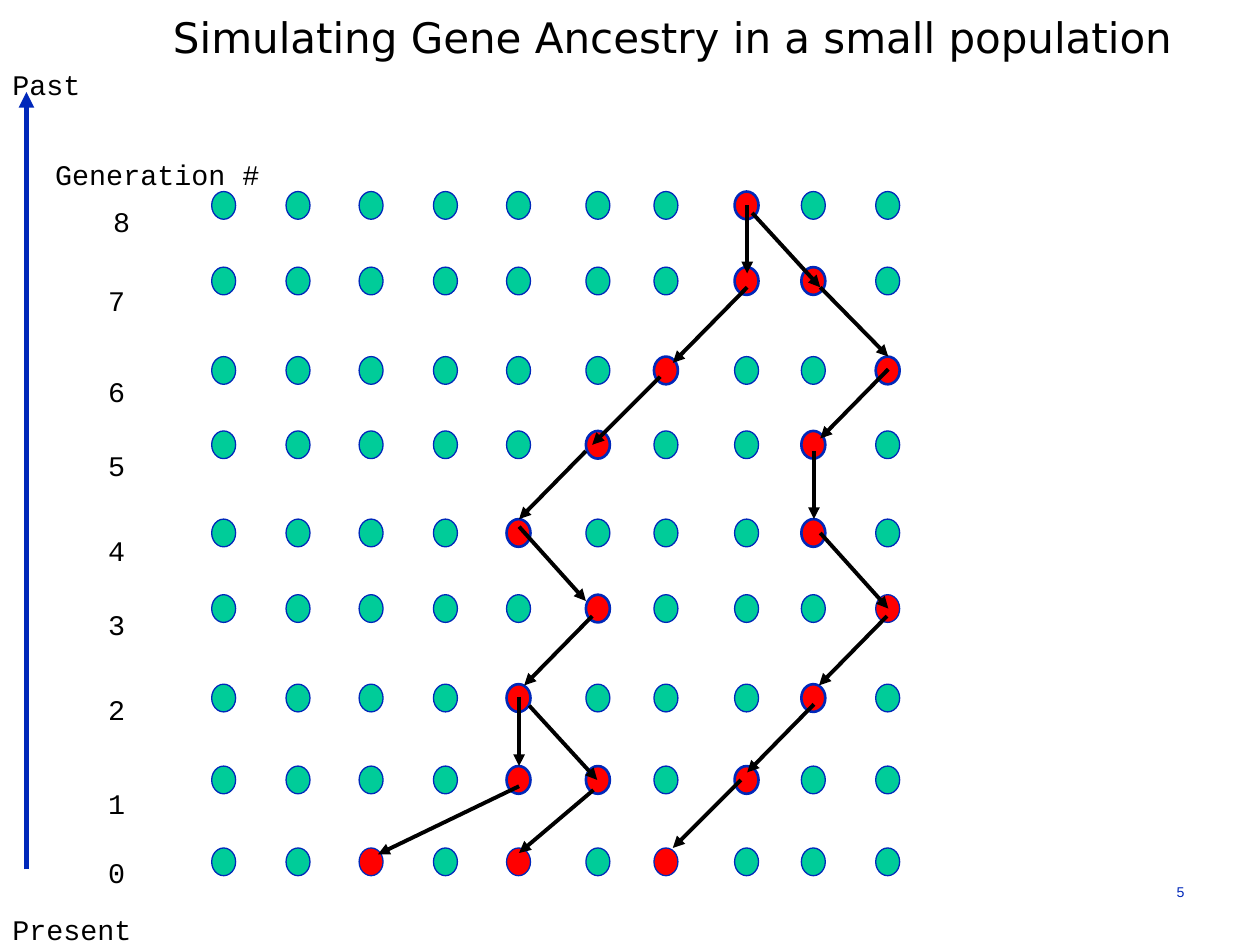
from lxml.etree import SubElement
from pptx import Presentation
from pptx.dml.color import RGBColor
from pptx.enum.shapes import MSO_CONNECTOR, MSO_SHAPE
from pptx.enum.text import MSO_ANCHOR, MSO_AUTO_SIZE, PP_ALIGN
from pptx.oxml.ns import qn
from pptx.util import Inches, Pt

BLACK, BLUE, GREEN, RED = "000000", "0028BA", "00CC99", "FF0000"

# Offsets inside the population box
COLUMNS = [0, 0.59, 1.17, 1.76, 2.34, 2.97, 3.51, 4.15, 4.68, 5.27]
# generation: (circle top, label top, ancestor columns)
GENERATIONS = {
    8: (0, -0.21, [7]),
    7: (0.6, 0.42, [7, 8]),
    6: (1.31, 1.14, [6, 9]),
    5: (1.9, 1.73, [5, 8]),
    4: (2.6, 2.4, [4, 8]),
    3: (3.2, 2.99, [5, 9]),
    2: (3.91, 3.66, [4, 8]),
    1: (4.56, 4.41, [4, 5, 7]),
    0: (5.21, 4.96, [2, 4, 6]),
}
THIN_ANCESTORS = {(0, 2), (0, 4), (0, 6), (3, 9)}
# Lines of descent: start x, start y, end x, end y
DESCENTS = [
    (4.25, 0.11, 4.25, 0.65), (4.29, 0.17, 4.83, 0.76),
    (4.25, 0.76, 3.66, 1.36), (4.83, 0.76, 5.37, 1.31),
    (3.56, 1.47, 3.02, 2.01), (5.37, 1.41, 4.83, 1.96),
    (2.97, 2.06, 2.44, 2.6), (4.78, 2.06, 4.78, 2.6),
    (2.44, 2.66, 2.97, 3.25), (4.83, 2.71, 5.37, 3.31),
    (3.02, 3.37, 2.48, 3.92), (5.36, 3.37, 4.82, 3.92),
    (2.44, 4.01, 2.44, 4.56), (2.52, 4.08, 3.06, 4.67),
    (4.78, 4.07, 4.25, 4.61), (2.44, 4.72, 1.32, 5.26),
    (3.03, 4.75, 2.44, 5.25), (4.2, 4.67, 3.66, 5.21),
]


def color(value):
    return RGBColor.from_string(value)


def write_text(frame, text, size=28, font="Courier New", fill=BLACK,
               align=PP_ALIGN.LEFT, lowered=True, space_percent=0):
    frame.word_wrap = True
    paragraph = frame.paragraphs[0]
    paragraph.alignment = align
    if space_percent:
        spacing = SubElement(paragraph._p.get_or_add_pPr(), qn("a:spcBef"))
        SubElement(spacing, qn("a:spcPct")).set("val", str(space_percent * 1000))
    run = paragraph.add_run()
    run.text = text
    run.font.size = Pt(size)
    run.font.name = font
    run.font.color.rgb = color(fill)
    if lowered:
        run._r.get_or_add_rPr().set("baseline", "-25000")


def add_label(slide, text, left, top, width, height=0.57, **text_format):
    box = slide.shapes.add_textbox(Inches(left), Inches(top), Inches(width), Inches(height))
    write_text(box.text_frame, text, **text_format)
    return box


def add_arrow(slide, start, end, fill, width):
    points = [Inches(value) for value in (*start, *end)]
    arrow = slide.shapes.add_connector(MSO_CONNECTOR.STRAIGHT, *points)
    arrow.line.color.rgb = color(fill)
    arrow.line.width = Pt(width)
    SubElement(arrow.line._get_or_add_ln(), qn("a:tailEnd")).set("type", "triangle")
    SubElement(arrow._element.spPr, qn("a:effectLst"))


def add_individual(slide, left, top, fill, outline):
    circle = slide.shapes.add_shape(
        MSO_SHAPE.OVAL, Inches(left), Inches(top), Inches(0.19), Inches(0.22))
    circle.shadow.inherit = False
    circle.fill.solid()
    circle.fill.fore_color.rgb = color(fill)
    circle.line.color.rgb = color(BLUE)
    circle.line.width = Pt(outline)


def add_title(slide, text, left, top, width, height):
    title = slide.shapes.title
    title.left, title.top = Inches(left), Inches(top)
    title.width, title.height = Inches(width), Inches(height)
    frame = title.text_frame
    frame.auto_size = MSO_AUTO_SIZE.NONE
    frame.vertical_anchor = MSO_ANCHOR.MIDDLE
    write_text(frame, text, size=24, font="DejaVu Sans",
               align=PP_ALIGN.CENTER, lowered=False)


def add_time_axis(slide, left, top):
    add_label(slide, "Present", left, top + 6.71, 1.72, space_percent=50)
    add_label(slide, "Past", left, top, 1.14, space_percent=50)
    add_arrow(slide, (left + 0.21, top + 6.68), (left + 0.21, top + 0.51), BLUE, 3)


def add_population(slide, left, top):
    add_label(slide, "Generation #", left - 1.34, top - 0.58, 2.77, space_percent=50)
    # One row of individuals for each generation
    for generation, (row, label_top, ancestors) in GENERATIONS.items():
        for index, column in enumerate(COLUMNS):
            is_ancestor = index in ancestors
            is_thick = is_ancestor and (generation, index) not in THIN_ANCESTORS
            add_individual(slide, left + column, top + row,
                           RED if is_ancestor else GREEN, 1.5 if is_thick else 0.75)
        label_left = left - (0.88 if generation == 8 else 0.92)
        add_label(slide, str(generation), label_left, top + label_top, 0.46,
                  space_percent=50)
    # Arrows from parent to child
    for start_x, start_y, end_x, end_y in DESCENTS:
        add_arrow(slide, (left + start_x, top + start_y),
                  (left + end_x, top + end_y), BLACK, 2.25)


presentation = Presentation()
presentation.slide_width, presentation.slide_height = Inches(10), Inches(7.5)
slide = presentation.slides.add_slide(presentation.slide_layouts[5])

add_title(slide, "Simulating Gene Ancestry in a small population", 0.84, 0, 9, 0.59)
add_time_axis(slide, 0, 0.22)
add_population(slide, 1.68, 1.52)
# Page number
add_label(slide, "5", 7.17, 6.83, 2.33, 0.52, size=14, font="Arial",
          fill=BLUE, align=PP_ALIGN.RIGHT)

presentation.save("out.pptx")
